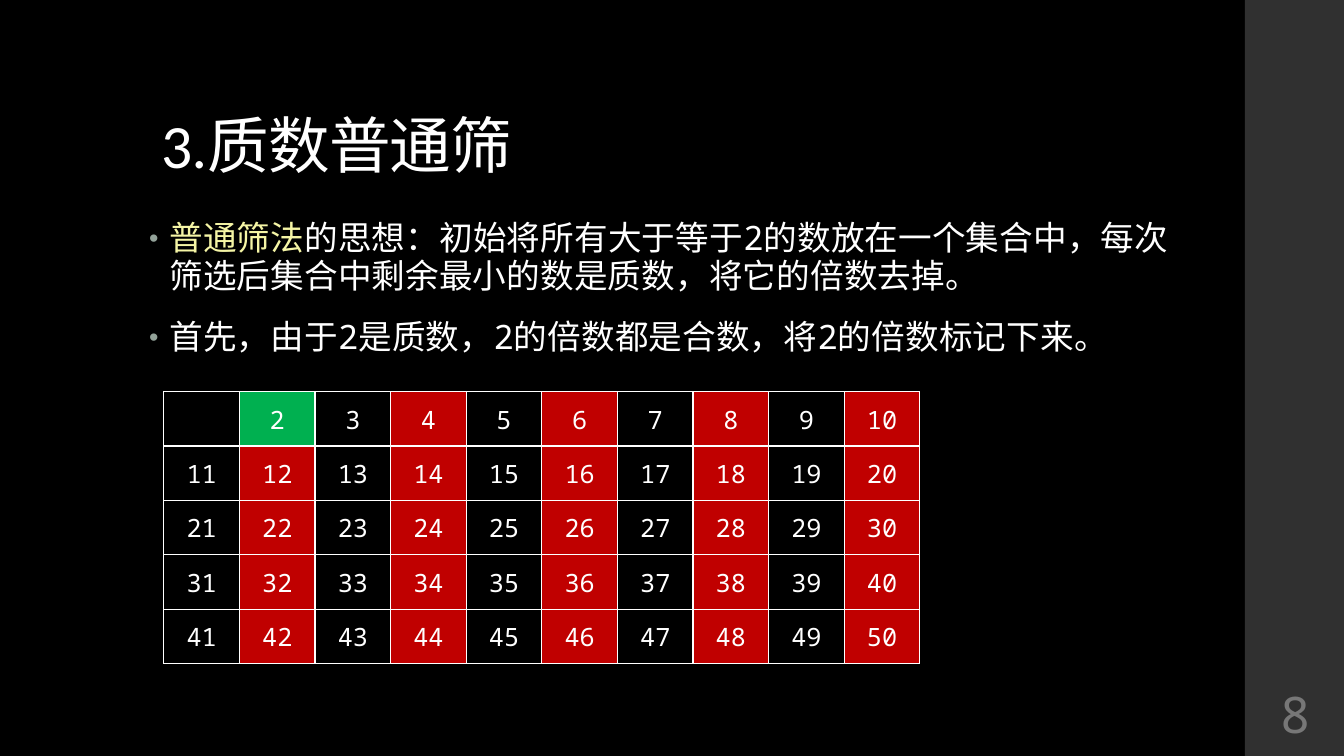
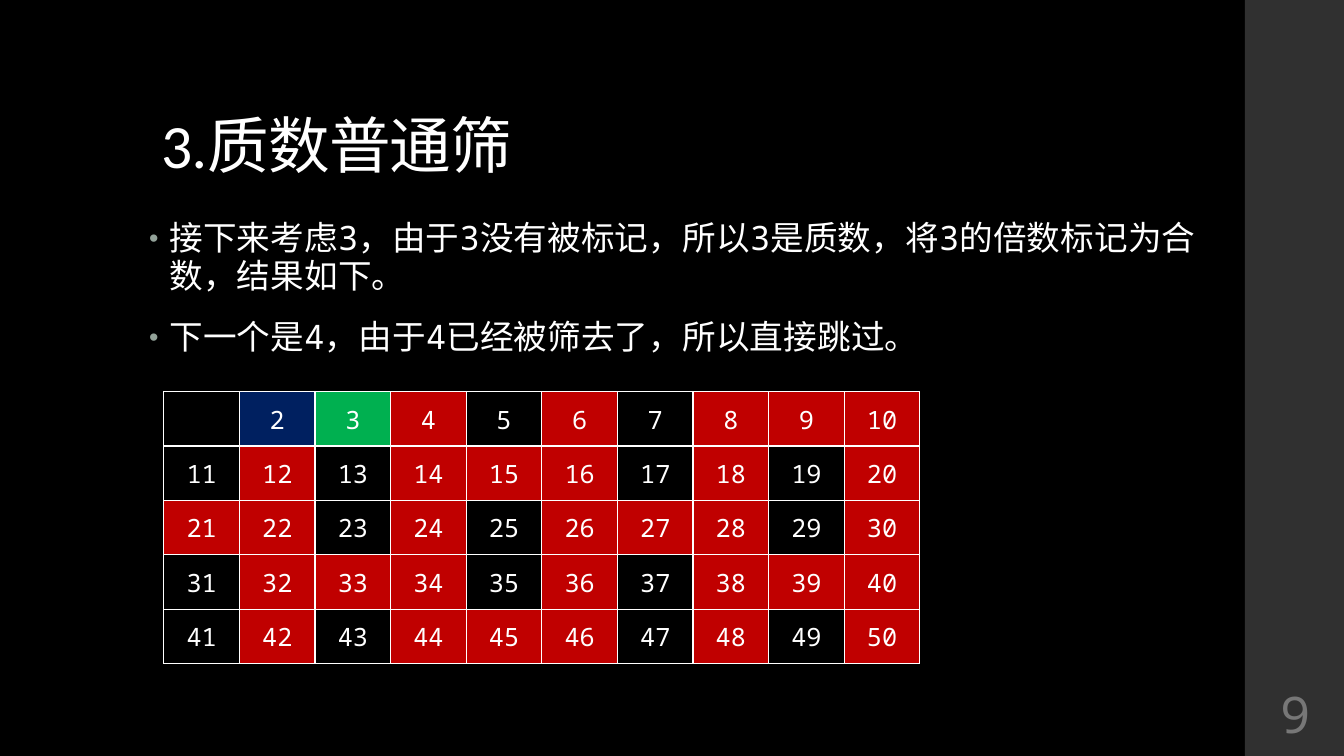
from pptx import Presentation, util as u
from pptx.dml.color import RGBColor
from pptx.enum import lang, shapes, text
from pptx.oxml import parse_xml
from pptx.oxml.ns import nsdecls

BLACK = RGBColor(0x00, 0x00, 0x00)
WHITE = RGBColor(0xFF, 0xFF, 0xFF)
BAND = RGBColor(0x30, 0x30, 0x30)
NUMBER = RGBColor(0x77, 0x77, 0x77)
KEYWORD = RGBColor(0xF5, 0xF5, 0xA5)
BULLET = RGBColor(0x93, 0xA2, 0x99)
CURRENT_PRIME = RGBColor(0x00, 0xB0, 0x50)
EARLIER_PRIME = RGBColor(0x00, 0x20, 0x60)
COMPOSITE = RGBColor(0xC0, 0x00, 0x00)

TITLE_FONT = "Calibri"
BODY_FONT = "Noto Sans Mono"
BAND_LEFT, BAND_WIDTH = u.Cm(31.37), u.Cm(2.54)
TITLE = "3.质数普通筛"
ROWS, COLUMNS = 5, 10


def drawing(xml):
    """Parse one DrawingML element, adding the namespace to its first tag."""
    head, mark, tail = xml.partition(">")
    if head.endswith("/"):
        return parse_xml(f"{head[:-1]} {nsdecls('a')}/>{tail}")
    return parse_xml(f"{head} {nsdecls('a')}{mark}{tail}")


def sieve_color(number, primes):
    """Return the cell colour after sieving with the given primes."""
    if number == primes[-1]:
        return CURRENT_PRIME
    if number in primes:
        return EARLIER_PRIME
    if any(number % prime == 0 for prime in primes):
        return COMPOSITE
    return BLACK


class Deck:
    """Holds the presentation, its style and the current slide."""

    def __init__(self):
        """Start an empty widescreen presentation."""
        self.presentation = Presentation()
        self.presentation.slide_width = u.Cm(33.87)
        self.presentation.slide_height = u.Cm(19.05)
        self.slide = None

    def style(self, paragraph, size, name=BODY_FONT, color=WHITE, spacing=0):
        """Set the font of a paragraph; spacing is in hundredths of a point."""
        font = paragraph.font
        font.size, font.name = u.Pt(size), name
        font.color.rgb = color
        font.language_id = lang.MSO_LANGUAGE_ID.SIMPLIFIED_CHINESE
        properties = paragraph._p.pPr.defRPr
        properties.append(drawing(f'<a:ea typeface="{name}"/>'))
        if spacing:
            properties.set("spc", str(spacing))

    def text_box(self, left, top, width, height, anchor):
        """Add a wrapping text box and return its text frame."""
        frame = self.slide.shapes.add_textbox(left, top, width, height).text_frame
        frame.word_wrap = True
        frame.vertical_anchor = anchor
        return frame

    def add_slide(self, title, number):
        """Add a slide with background, side band, title and number."""
        self.slide = self.presentation.slides.add_slide(
            self.presentation.slide_layouts[6])
        fill = self.slide.background.fill
        fill.solid()
        fill.fore_color.rgb = BLACK
        self.band()
        self.title(title)
        self.number(number)

    def band(self):
        """Draw the grey band along the right edge."""
        shape = self.slide.shapes.add_shape(
            shapes.MSO_SHAPE.RECTANGLE, BAND_LEFT, 0, BAND_WIDTH,
            self.presentation.slide_height)
        shape.shadow.inherit = False
        shape.fill.solid()
        shape.fill.fore_color.rgb = BAND
        shape.line.fill.background()

    def title(self, words):
        """Write the slide title."""
        frame = self.text_box(u.Cm(3.81), u.Cm(1.02), u.Cm(26.29), u.Cm(3.68),
                              text.MSO_ANCHOR.BOTTOM)
        paragraph = frame.paragraphs[0]
        paragraph.text = words
        paragraph.line_spacing = 0.9
        self.style(paragraph, 44, TITLE_FONT, spacing=-50)

    def number(self, number):
        """Write the slide number at the foot of the band."""
        frame = self.text_box(BAND_LEFT, u.Cm(17.15), BAND_WIDTH, u.Cm(1.65),
                              text.MSO_ANCHOR.MIDDLE)
        frame.margin_left = frame.margin_right = u.Cm(0.13)
        paragraph = frame.paragraphs[0]
        paragraph.text = str(number)
        paragraph.alignment = text.PP_ALIGN.CENTER
        self.style(paragraph, 36, color=NUMBER)

    def bullets(self, items):
        """Write bulleted paragraphs, each a (keyword, rest) pair."""
        frame = self.text_box(u.Cm(3.51), u.Cm(5.41), u.Cm(26.92), u.Cm(12.09),
                              text.MSO_ANCHOR.TOP)
        indent = u.Cm(0.51)
        for index, (keyword, rest) in enumerate(items):
            paragraph = frame.add_paragraph() if index else frame.paragraphs[0]
            properties = paragraph._p.get_or_add_pPr()
            properties.set("marL", str(indent))
            properties.set("indent", str(-indent))
            for xml in (f'<a:buClr><a:srgbClr val="{BULLET}"/></a:buClr>',
                        '<a:buSzPct val="80000"/>',
                        '<a:buFont typeface="Arial"/>',
                        '<a:buChar char="•"/>'):
                properties.append(drawing(xml))
            paragraph.line_spacing = 0.95
            paragraph.space_before, paragraph.space_after = u.Pt(14), u.Pt(2)
            self.style(paragraph, 24, spacing=10)
            if keyword:
                run = paragraph.add_run()
                run.text = keyword
                run.font.color.rgb = KEYWORD
            paragraph.add_run().text = rest

    def sieve_table(self, primes):
        """Add the number grid, coloured by the primes sieved so far."""
        table = self.slide.shapes.add_table(
            ROWS, COLUMNS, u.Cm(4.13), u.Cm(9.87), u.Cm(19.05),
            u.Cm(6.85)).table
        table.first_row = table.horz_banding = False
        for index, cell in enumerate(table.iter_cells()):
            number = index + 1
            self.cell(cell, str(number) if number > 1 else "",
                      sieve_color(number, primes))

    def cell(self, cell, words, color):
        """Fill one table cell and give it white borders."""
        properties = cell._tc.get_or_add_tcPr()
        for side in "LRTB":
            properties.append(drawing(
                f'<a:ln{side} w="{u.Pt(1)}"><a:solidFill>'
                f'<a:srgbClr val="{WHITE}"/></a:solidFill></a:ln{side}>'))
        cell.fill.solid()
        cell.fill.fore_color.rgb = color
        cell.margin_left = cell.margin_right = cell.margin_top = u.Cm(0.03)
        cell.margin_bottom = 0
        cell.vertical_anchor = text.MSO_ANCHOR.MIDDLE
        paragraph = cell.text_frame.paragraphs[0]
        paragraph.text = words
        paragraph.alignment = text.PP_ALIGN.CENTER
        self.style(paragraph, 18)


def main():
    """Build the two sieve slides."""
    deck = Deck()
    steps = [
        ((2,), [("普通筛法", "的思想：初始将所有大于等于2的数放在一个集合中，"
                 "每次筛选后集合中剩余最小的数是质数，将它的倍数去掉。"),
                ("", "首先，由于2是质数，2的倍数都是合数，将2的倍数标记下来。")]),
        ((2, 3), [("", "接下来考虑3，由于3没有被标记，所以3是质数，"
                   "将3的倍数标记为合数，结果如下。"),
                  ("", "下一个是4，由于4已经被筛去了，所以直接跳过。")]),
    ]
    for number, (primes, items) in enumerate(steps, start=8):
        deck.add_slide(TITLE, number)
        deck.bullets(items)
        deck.sieve_table(primes)
    deck.presentation.save("out.pptx")


main()
